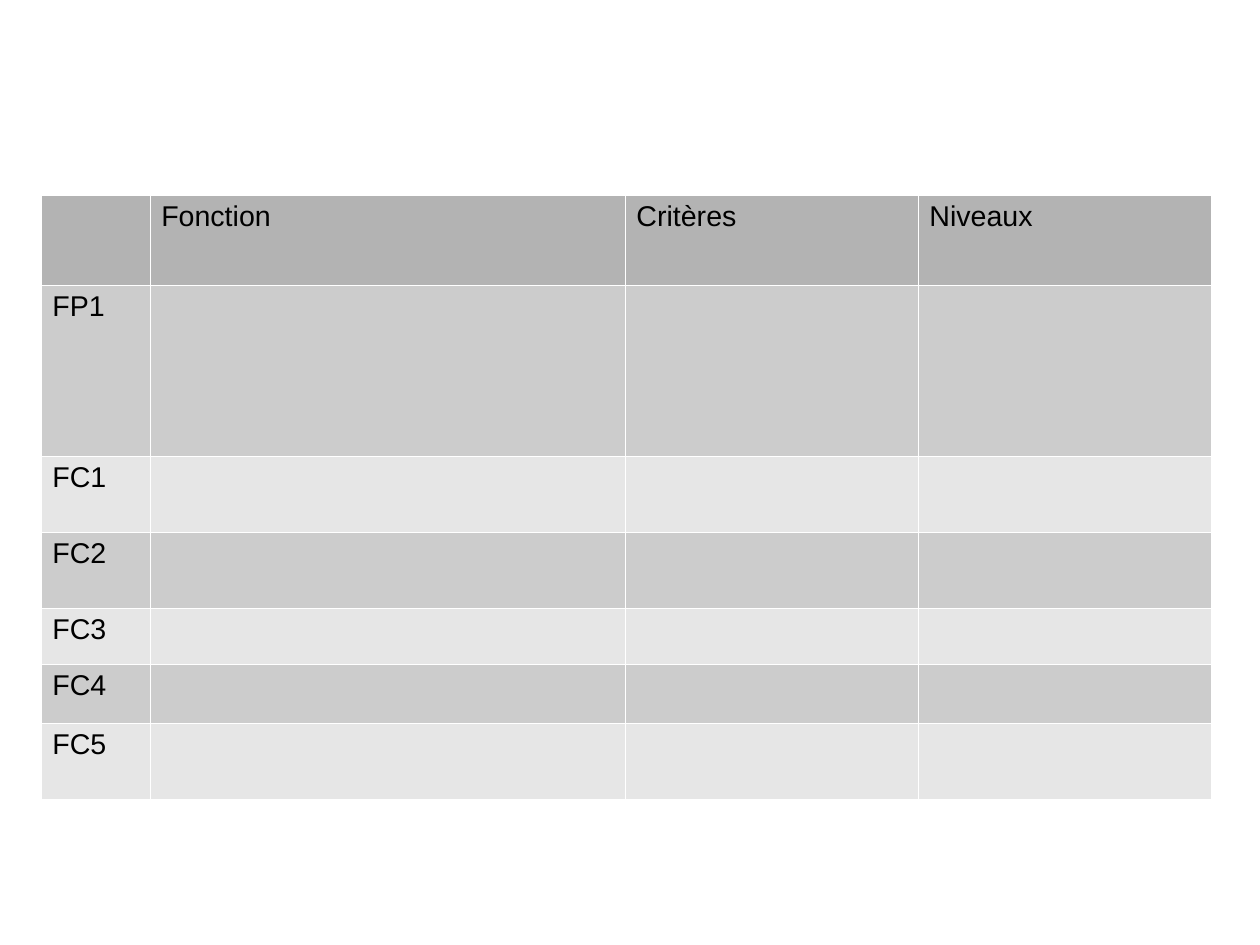
from dataclasses import dataclass

from lxml import etree
from pptx import Presentation
from pptx import util as u
from pptx.dml import color
from pptx.oxml import ns


@dataclass(frozen=True)
class Theme:
    font: str = "Arial"
    size: int = 18
    ink: str = "000000"
    header: str = "B3B3B3"
    bands: tuple = ("CCCCCC", "E6E6E6")
    rule: str = "FFFFFF"
    rule_width: float = 0.06


THEME = Theme()

HEADINGS = ["", "Fonction", "Critères", "Niveaux"]
FUNCTIONS = ["FP1", "FC1", "FC2", "FC3", "FC4", "FC5"]
COLUMN_WIDTHS = [2.42, 10.56, 6.51, 6.51]
ROW_HEIGHTS = [2, 3.8, 1.69, 1.69, 1.24, 1.31, 1.7]


def add_borders(cell):
    """Draw a thin rule on all four sides of a cell."""
    properties = cell._tc.get_or_add_tcPr()
    for side in ("a:lnL", "a:lnR", "a:lnT", "a:lnB"):
        rule = etree.SubElement(properties, ns.qn(side),
                                w=str(u.Pt(THEME.rule_width)))
        fill = etree.SubElement(rule, ns.qn("a:solidFill"))
        etree.SubElement(fill, ns.qn("a:srgbClr"), val=THEME.rule)


def format_cell(cell, label, background):
    add_borders(cell)
    cell.fill.solid()
    cell.fill.fore_color.rgb = color.RGBColor.from_string(background)
    cell.text_frame.text = label
    for run in cell.text_frame.paragraphs[0].runs:
        run.font.name = THEME.font
        run.font.size = u.Pt(THEME.size)
        run.font.bold = False
        run.font.color.rgb = color.RGBColor.from_string(THEME.ink)


def add_function_table(slide, left, top):
    table = slide.shapes.add_table(
        len(ROW_HEIGHTS), len(COLUMN_WIDTHS), u.Cm(left), u.Cm(top),
        u.Cm(sum(COLUMN_WIDTHS)), u.Cm(sum(ROW_HEIGHTS))).table
    table.first_row = False
    table.horz_banding = False

    # Grid
    for column, width in zip(table.columns, COLUMN_WIDTHS):
        column.width = u.Cm(width)
    for row, height in zip(table.rows, ROW_HEIGHTS):
        row.height = u.Cm(height)

    # Header row
    for cell, heading in zip(table.rows[0].cells, HEADINGS):
        format_cell(cell, heading, THEME.header)

    # One banded row per function, with cells left to fill in
    for index, function in enumerate(FUNCTIONS):
        band = THEME.bands[index % len(THEME.bands)]
        for column, cell in enumerate(table.rows[index + 1].cells):
            format_cell(cell, function if column == 0 else "", band)


def main():
    deck = Presentation()
    deck.slide_width, deck.slide_height = u.Cm(28), u.Cm(21)
    slide = deck.slides.add_slide(deck.slide_layouts[6])
    add_function_table(slide, left=0.91, top=4.33)
    deck.save("out.pptx")


if __name__ == "__main__":
    main()
